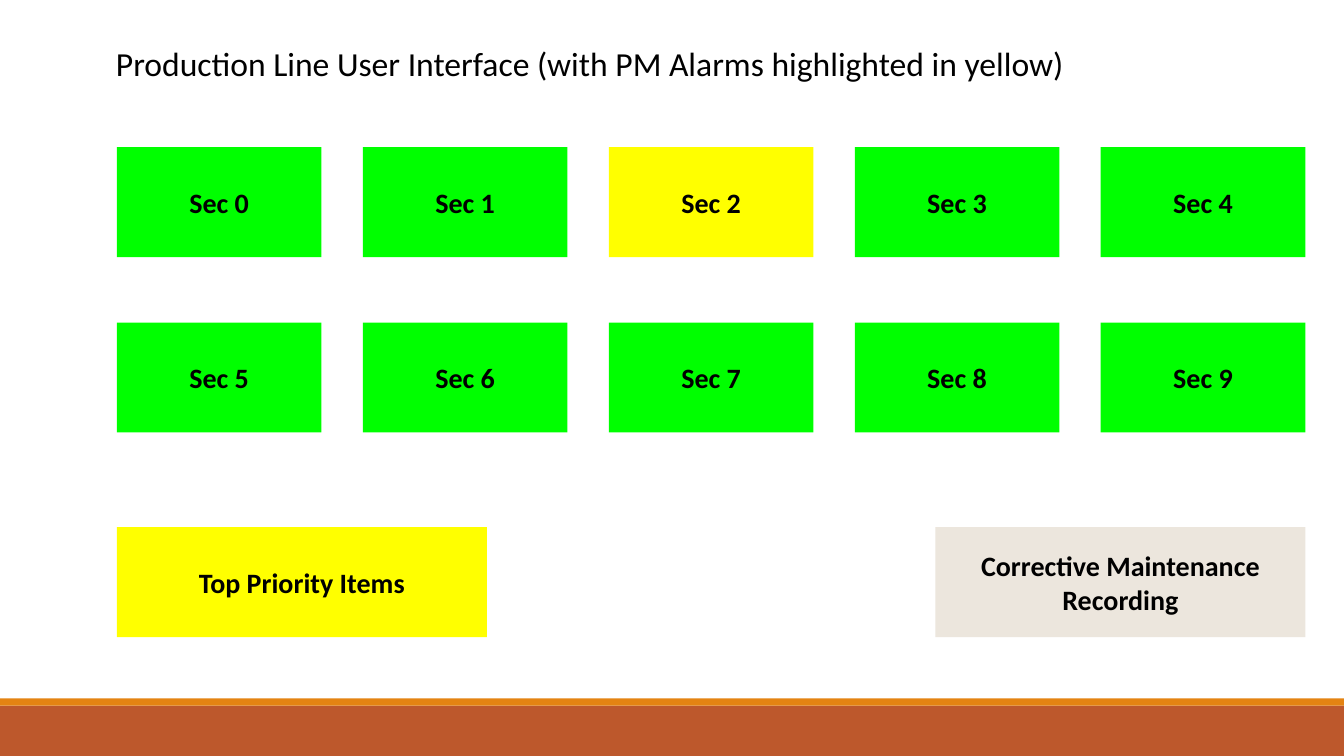
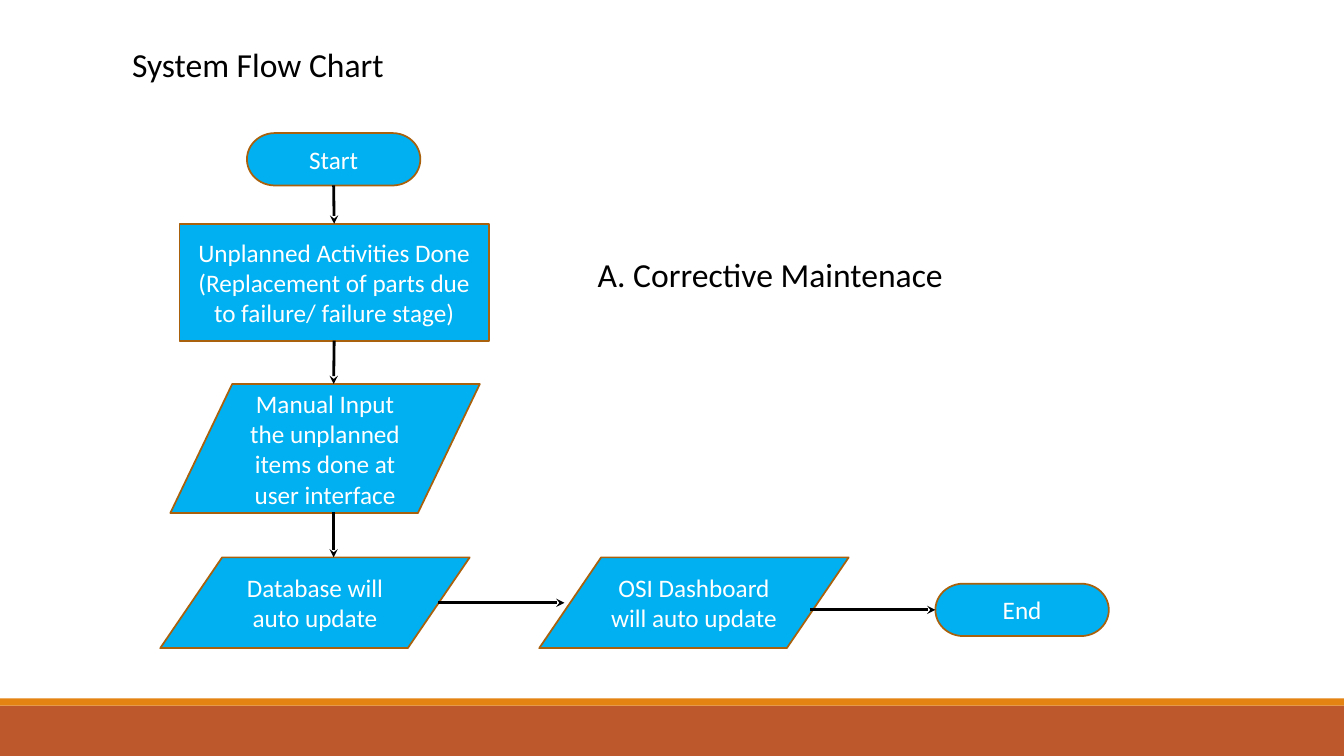
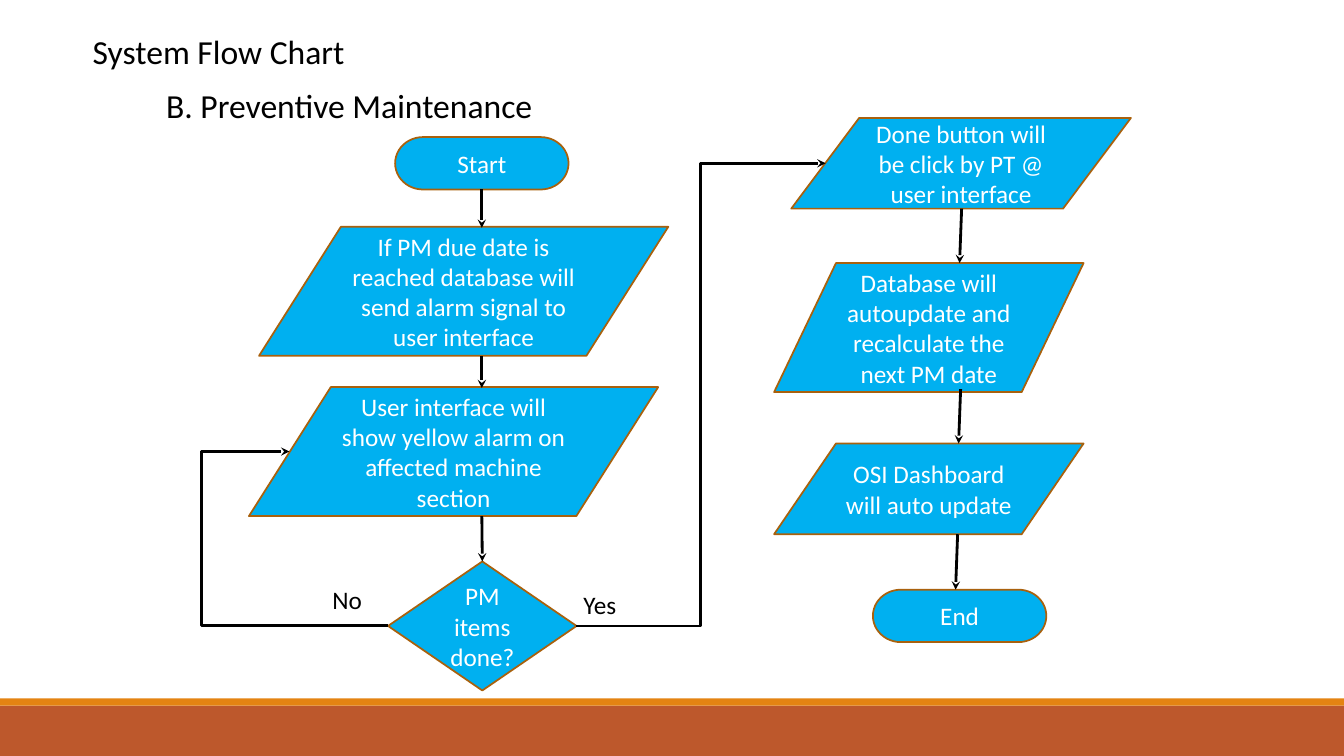
from dataclasses import dataclass

from lxml.etree import SubElement
from pptx import Presentation
from pptx.dml.color import RGBColor
from pptx.enum.shapes import MSO_CONNECTOR, MSO_SHAPE
from pptx.enum.text import MSO_ANCHOR, MSO_AUTO_SIZE, PP_ALIGN
from pptx.oxml.ns import qn
from pptx.util import Inches, Pt


@dataclass(frozen=True)
class Theme:
    """Colours, type sizes and line widths of the deck."""
    font: str = "Calibri"
    ink: str = "000000"
    paper: str = "FFFFFF"
    band: str = "BD582C"
    stripe: str = "E48312"
    normal: str = "00FF00"
    alarm: str = "FFFF00"
    record: str = "ECE6DD"
    node: str = "00B0F0"
    node_edge: str = "A9610D"
    heading_size: float = 24
    button_size: float = 20
    text_size: float = 18
    edge_width: float = 1.25
    arrow_width: float = 2


# Grid: square cells of a tenth of an inch, 133.33 columns by 75 rows
COLUMNS, ROWS = 133.33, 75

# Flow chart symbols
TERMINAL = MSO_SHAPE.FLOWCHART_TERMINATOR
PROCESS = MSO_SHAPE.FLOWCHART_PROCESS
DATA = MSO_SHAPE.FLOWCHART_DATA
DECISION = MSO_SHAPE.FLOWCHART_DECISION
TERMINAL_SIZE = (17.2, 5.2)
LOW_SIZE, TALL_SIZE, WIDE_SIZE = (30.7, 9), (30.7, 12.8), (40.6, 12.8)

# Connection sites
TOP, LEFT, BOTTOM, RIGHT = range(4)


def cells(*counts):
    return [Inches(count / 10) for count in counts]


class Deck:
    """The presentation, its style and the current slide."""

    def __init__(self, theme):
        self.theme = theme
        self.presentation = Presentation()
        self.presentation.slide_width, self.presentation.slide_height = cells(COLUMNS, ROWS)
        self.layout = self.presentation.slide_layouts[5]
        self.page = None

    def add_page(self, title, left, top, width):
        first = self.page is None
        self.page = self.presentation.slides.add_slide(self.layout)
        if first:
            self.add_bands()
        box = self.page.shapes.title
        box.left, box.top, box.width, box.height = cells(left, top, width, 5)
        self.fill_label(box, title, self.theme.heading_size)

    def add_bands(self):
        """Draw the footer bands and move them to the shared layout."""
        bands = [(70, 5, self.theme.band), (69.3, 0.7, self.theme.stripe)]
        for number, (top, height, color) in enumerate(bands):
            band = self.block(MSO_SHAPE.RECTANGLE, 0, top, COLUMNS, height, color)
            band.element.nvSpPr.cNvPr.set("id", str(101 + number))
            self.layout.shapes.element.insert(2 + number, band.element)

    def add_text(self, box, text, size, color, bold=False, align=PP_ALIGN.LEFT):
        frame = box.text_frame
        frame.word_wrap = True
        for index, line in enumerate(text.split("\n")):
            para = frame.add_paragraph() if index else frame.paragraphs[0]
            para.alignment = align
            span = para.add_run()
            span.text = line
            span.font.name, span.font.size, span.font.bold = self.theme.font, Pt(size), bold
            span.font.color.rgb = RGBColor.from_string(color)

    def fill_label(self, box, text, size):
        self.add_text(box, text, size, self.theme.ink)
        box.text_frame.vertical_anchor = MSO_ANCHOR.TOP
        box.text_frame.auto_size = MSO_AUTO_SIZE.SHAPE_TO_FIT_TEXT

    def label(self, text, left, top, width, height, size):
        box = self.page.shapes.add_textbox(*cells(left, top, width, height))
        self.fill_label(box, text, size)

    def block(self, kind, left, top, width, height, fill, edge=None):
        shape = self.page.shapes.add_shape(kind, *cells(left, top, width, height))
        shape.shadow.inherit = False
        shape.fill.solid()
        shape.fill.fore_color.rgb = RGBColor.from_string(fill)
        if edge:
            shape.line.color.rgb = RGBColor.from_string(edge)
            shape.line.width = Pt(self.theme.edge_width)
        else:
            shape.line.fill.background()
        return shape

    def button(self, text, left, top, width, fill):
        shape = self.block(MSO_SHAPE.RECTANGLE, left, top, width, 10.9, fill)
        shape.text_frame.vertical_anchor = MSO_ANCHOR.MIDDLE
        self.add_text(shape, text, self.theme.button_size, self.theme.ink, True, PP_ALIGN.CENTER)

    def node(self, kind, text, left, top, size):
        shape = self.block(kind, left, top, *size, self.theme.node, self.theme.node_edge)
        shape.text_frame.vertical_anchor = MSO_ANCHOR.MIDDLE
        self.add_text(shape, text, self.theme.text_size, self.theme.paper, align=PP_ALIGN.CENTER)
        return shape

    def arrow(self, start, end, bend=None):
        """Each end is a (column, row) point or a (shape, site) pair;
        bend is the share of the width at which an elbow turns."""
        joins = [spot if hasattr(spot[0], "shape_id") else None for spot in (start, end)]
        points = [(0, 0) if join else spot for join, spot in zip(joins, (start, end))]
        kind = MSO_CONNECTOR.STRAIGHT if bend is None else MSO_CONNECTOR.ELBOW
        line = self.page.shapes.add_connector(kind, *cells(*points[0], *points[1]))
        if joins[0]:
            line.begin_connect(*joins[0])
        if joins[1]:
            line.end_connect(*joins[1])
        line.line.color.rgb = RGBColor.from_string(self.theme.ink)
        line.line.width = Pt(self.theme.arrow_width)
        properties = line.element.spPr
        SubElement(properties.get_or_add_ln(), qn("a:tailEnd"), type="stealth")
        SubElement(properties, qn("a:effectLst"))
        if bend is not None:
            guides = properties.find(qn("a:prstGeom")).get_or_add_avLst()
            SubElement(guides, qn("a:gd"), name="adj1", fmla=f"val {round(bend * 100000)}")


def build_interface(deck):
    theme = deck.theme
    deck.add_page("Production Line User Interface (with PM Alarms highlighted in yellow)",
                  10.5, 3.8, 97.9)
    # Machine sections, five to a row
    for section in range(10):
        row, column = divmod(section, 5)
        fill = theme.alarm if section == 2 else theme.normal
        deck.button(f"Sec {section}", 11.6 + 24.4 * column, 14.6 + 17.4 * row, 20.3, fill)
    # Actions
    deck.button("Top Priority Items", 11.6, 52.3, 36.7, theme.alarm)
    deck.button("Corrective Maintenance Recording", 92.8, 52.3, 36.7, theme.record)


def build_corrective(deck):
    deck.add_page("System Flow Chart", 12.1, 3.9, 32.6)
    deck.label("A. Corrective Maintenace", 58.3, 24.7, 39.1, 5, deck.theme.heading_size)
    # Steps
    start = deck.node(TERMINAL, "Start", 24.5, 13.2, TERMINAL_SIZE)
    activity = deck.node(
        PROCESS,
        "Unplanned Activities Done\n(Replacement of parts due to failure/ failure stage)",
        17.8, 22.2, (30.7, 11.6))
    deck.node(DATA, "Manual Input the unplanned items done at user interface",
              16.9, 38.1, TALL_SIZE)
    deck.node(DATA, "Database will auto update", 15.9, 55.3, LOW_SIZE)
    deck.node(DATA, "OSI Dashboard will auto update", 53.5, 55.3, LOW_SIZE)
    end = deck.node(TERMINAL, "End", 92.8, 57.9, TERMINAL_SIZE)
    # Flow
    deck.arrow((start, BOTTOM), (activity, TOP))
    deck.arrow((activity, BOTTOM), (33.1, 38.1))
    deck.arrow((33.1, 50.8), (33.1, 55.3))
    deck.arrow((43.5, 59.8), (56, 59.8))
    deck.arrow((80.4, 60.5), (end, LEFT))


def build_preventive(deck):
    size = deck.theme.text_size
    deck.add_page("System Flow Chart", 8.2, 2.6, 97.9)
    deck.label("B. Preventive Maintenance", 15.5, 7.9, 39.1, 5, deck.theme.heading_size)
    # Alarm steps
    start = deck.node(TERMINAL, "Start", 39.2, 13.6, TERMINAL_SIZE)
    deck.node(DATA, "If PM due date is reached database will send alarm signal to user interface",
              25.7, 22.5, WIDE_SIZE)
    deck.node(DATA, "User interface will show yellow alarm on affected machine section",
              24.7, 38.4, WIDE_SIZE)
    check = deck.node(DECISION, "PM items done?", 38.5, 55.7, (18.7, 12.8))
    # Completion steps
    deck.node(DATA, "Done button will be click by PT @ user interface", 78.5, 11.7, (33.7, 9))
    deck.node(DATA, "Database will autoupdate and recalculate the next PM date",
              76.8, 26.1, TALL_SIZE)
    deck.node(DATA, "OSI Dashboard will auto update", 76.8, 44, LOW_SIZE)
    deck.node(TERMINAL, "End", 86.6, 58.5, TERMINAL_SIZE)
    # Flow
    deck.arrow((start, BOTTOM), (47.8, 22.6))
    deck.arrow((47.8, 35.3), (47.8, 38.5))
    deck.arrow((47.8, 51.2), (check, TOP))
    deck.arrow((95.4, 20.7), (95.2, 26.1))
    deck.arrow((95.3, 38.6), (95.1, 44))
    deck.arrow((95, 53), (94.8, 58.5))
    # Branches of the check
    deck.arrow((38.5, 62.1), (28.7, 44.8), bend=1.89)
    deck.arrow((57.1, 62.1), (81.9, 16.2), bend=0.5)
    deck.label("Yes", 56.9, 58, 6.7, 4, size)
    deck.label("No", 32, 57.5, 6.7, 4, size)


def main():
    deck = Deck(Theme())
    build_interface(deck)
    build_corrective(deck)
    build_preventive(deck)
    deck.presentation.save("out.pptx")


if __name__ == "__main__":
    main()
